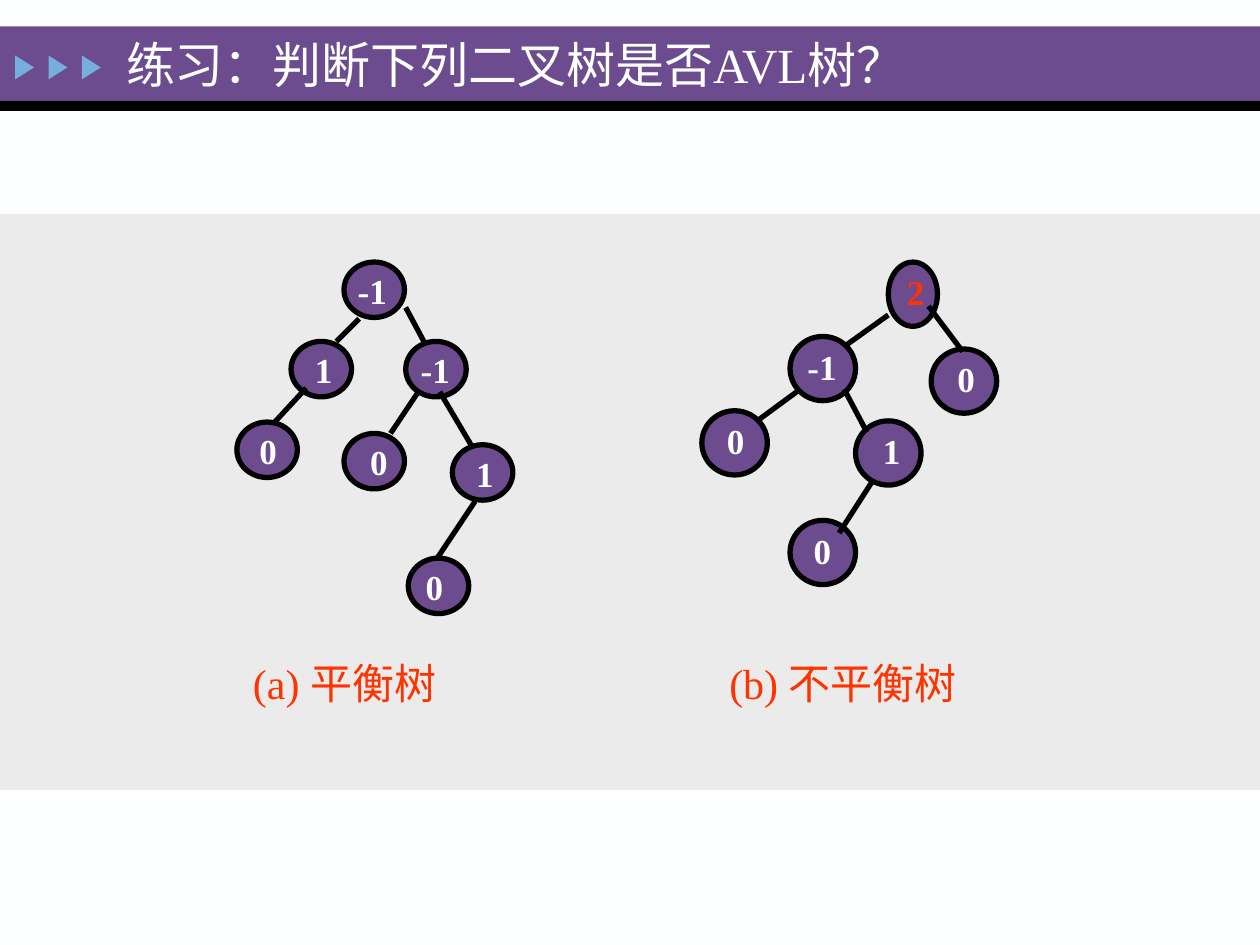
from lxml import etree
from pptx import Presentation
from pptx.dml.color import RGBColor
from pptx.enum.shapes import MSO_CONNECTOR, MSO_SHAPE
from pptx.enum.text import MSO_ANCHOR, MSO_AUTO_SIZE, PP_ALIGN
from pptx.oxml.ns import qn
from pptx.util import Inches, Pt

PURPLE = RGBColor(0x6C, 0x4C, 0x8F)
BLACK = RGBColor(0, 0, 0)
SKY = RGBColor(0x76, 0xAE, 0xDD)
GREY = RGBColor(0xEB, 0xEB, 0xEB)
WHITE = RGBColor(0xFE, 0xFF, 0xFF)
RED = RGBColor(0xFF, 0x33, 0x00)
FONT = "Times New Roman"
OUTLINE = Pt(3)

# Nodes: left, top, label, label indent, label colour; edges: start x, y, end x, y.
# All lengths are inches from the corner of the tree's box.
BALANCED = {
    "node_size": (0.48, 0.44),
    "label_drop": 0.01,
    "nodes": [
        (0.85, 0, "-1", 0.01, WHITE),
        (0.43, 0.63, "1", 0.09, WHITE),
        (1.34, 0.63, "-1", 0.02, WHITE),
        (0, 1.27, "0", 0.08, WHITE),
        (0.85, 1.36, "0", 0.11, WHITE),
        (1.71, 1.45, "1", 0.09, WHITE),
        (1.36, 2.35, "0", 0.04, WHITE),
    ],
    "edges": [
        (0.97, 0.45, 0.79, 0.63),
        (1.34, 0.36, 1.50, 0.66),
        (0.55, 1.00, 0.30, 1.27),
        (1.44, 1.03, 1.22, 1.36),
        (1.61, 1.03, 1.87, 1.47),
        (1.89, 1.90, 1.59, 2.35),
    ],
}
UNBALANCED = {
    "node_size": (0.52, 0.51),
    "root_width": 0.39,
    "label_drop": 0.02,
    "nodes": [
        (1.48, 0, "2", 0.05, RED),
        (0.70, 0.59, "-1", 0.04, WHITE),
        (1.82, 0.69, "0", 0.11, WHITE),
        (0, 1.18, "0", 0.10, WHITE),
        (1.22, 1.26, "1", 0.12, WHITE),
        (0.70, 2.05, "0", 0.09, WHITE),
    ],
    "edges": [
        (1.48, 0.42, 1.13, 0.67),
        (1.80, 0.35, 2.07, 0.71),
        (0.78, 1.01, 0.44, 1.26),
        (1.13, 1.01, 1.31, 1.35),
        (1.36, 1.73, 1.09, 2.15),
    ],
}


def set_all(target, **values):
    for name, value in values.items():
        setattr(target, name, value)


def write(para, text, size, colour, bold=False):
    span = para.add_run()
    span.text = text
    set_all(span.font, name=FONT, size=Pt(size), bold=bold)
    span.font.color.rgb = colour


def add_filled(page, kind, left, top, width, height, colour, outlined=False):
    shape = page.shapes.add_shape(
        kind, Inches(left), Inches(top), Inches(width), Inches(height))
    shape.shadow.inherit = False
    shape.fill.solid()
    shape.fill.fore_color.rgb = colour
    if outlined:
        shape.line.color.rgb = BLACK
        shape.line.width = OUTLINE
    else:
        shape.line.fill.background()
    return shape


def add_text_box(page, left, top, width, height, wrap=True):
    box = page.shapes.add_textbox(
        Inches(left), Inches(top), Inches(width), Inches(height))
    box.text_frame.word_wrap = wrap
    return box.text_frame.paragraphs[0]


def add_edge(page, start_x, start_y, end_x, end_y):
    edge = page.shapes.add_connector(
        MSO_CONNECTOR.STRAIGHT, Inches(start_x), Inches(start_y),
        Inches(end_x), Inches(end_y))
    edge.line.color.rgb = BLACK
    edge.line.width = OUTLINE
    etree.SubElement(edge._element.spPr, qn("a:effectLst"))


def add_banner(page, left, top, width, text):
    """Title band with an underline and three arrowheads, the title on top."""
    add_filled(page, MSO_SHAPE.RECTANGLE, left, top, width, 0.59, PURPLE)
    add_filled(page, MSO_SHAPE.RECTANGLE, left, top + 0.59, width, 0.08, BLACK)
    for index in range(3):
        marker = add_filled(page, MSO_SHAPE.ISOSCELES_TRIANGLE,
                            left + 0.1 + index * 0.265, top + 0.25, 0.19, 0.15, SKY)
        marker.rotation = 90

    title = page.shapes.title
    set_all(title, left=Inches(left + 0.9), top=Inches(top + 0.01),
            width=Inches(7.2), height=Inches(0.57))
    set_all(title.text_frame, vertical_anchor=MSO_ANCHOR.MIDDLE,
            auto_size=MSO_AUTO_SIZE.NONE, word_wrap=True)
    para = title.text_frame.paragraphs[0]
    para.alignment = PP_ALIGN.LEFT
    write(para, text, 28, WHITE)
    page.shapes._spTree.append(title._element)


def add_tree(page, left, top, tree):
    width, height = tree["node_size"]
    for index, (x, y, *_) in enumerate(tree["nodes"]):
        node_width = width if index else tree.get("root_width", width)
        add_filled(page, MSO_SHAPE.OVAL, left + x, top + y,
                   node_width, height, PURPLE, outlined=True)
    for x1, y1, x2, y2 in tree["edges"]:
        add_edge(page, left + x1, top + y1, left + x2, top + y2)
    for x, y, label, indent, colour in tree["nodes"]:
        single = len(label) == 1
        para = add_text_box(page, left + x + indent, top + y + tree["label_drop"],
                            0.34 if single else 0.44, 0.44, wrap=single)
        write(para, label, 20, colour, bold=True)


def add_captions(page, left, top, captions, tab):
    para = add_text_box(page, left, top, 6, 0.5)
    tabs = etree.SubElement(para._p.get_or_add_pPr(), qn("a:tabLst"))
    etree.SubElement(tabs, qn("a:tab"), pos=str(Inches(tab)), algn="l")
    write(para, "\t".join(captions), 24, RED)


def main():
    deck = Presentation()
    set_all(deck, slide_width=Inches(10), slide_height=Inches(7.5))
    page = deck.slides.add_slide(deck.slide_layouts[5])
    page.background.fill.solid()
    page.background.fill.fore_color.rgb = WHITE

    add_banner(page, 0, 0.21, 10, "练习：判断下列二叉树是否AVL树？")
    add_filled(page, MSO_SHAPE.RECTANGLE, 0, 1.7, 10, 4.57, GREY)
    add_tree(page, 1.88, 2.08, BALANCED)
    add_tree(page, 5.57, 2.08, UNBALANCED)
    add_captions(page, 1.91, 5.17, ["(a) 平衡树", "(b) 不平衡树"], 3.78)
    deck.save("out.pptx")


if __name__ == "__main__":
    main()
